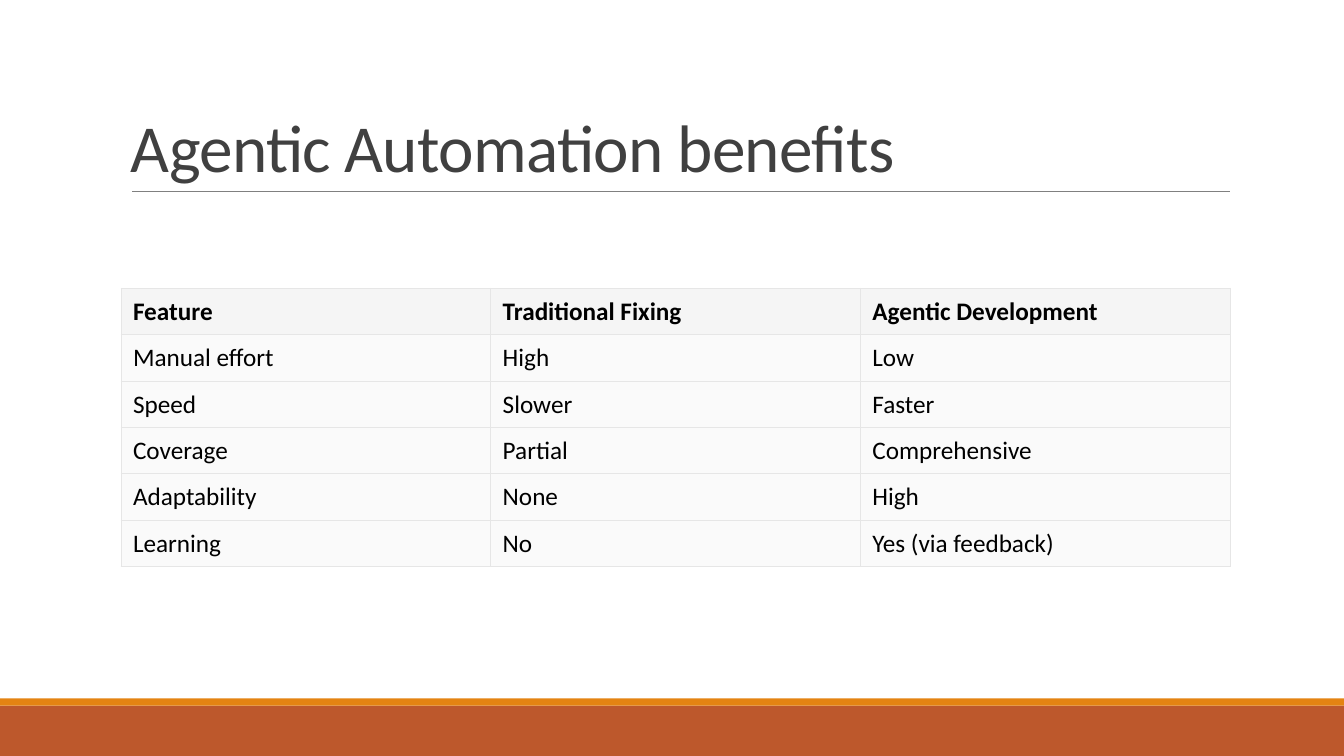
from lxml.etree import SubElement as Sub
from pptx import Presentation
from pptx.dml.color import RGBColor
from pptx.enum.shapes import MSO_CONNECTOR as Conn, MSO_SHAPE as Shape
from pptx.enum.text import MSO_ANCHOR as Anchor
from pptx.oxml.ns import qn
from pptx.util import Inches, Pt

RUST = RGBColor(0xBD, 0x58, 0x2C)
AMBER = RGBColor(0xE4, 0x83, 0x12)
GRAY = RGBColor(0x80, 0x80, 0x80)
DARK = RGBColor(0x40, 0x40, 0x40)
BLACK = RGBColor(0, 0, 0)
HEAD = RGBColor(0xF5, 0xF5, 0xF5)
BODY = RGBColor(0xFA, 0xFA, 0xFA)
EDGE = RGBColor(0xE6, 0xE6, 0xE6)

WIDTH, HEIGHT = 13.33, 7.5
ROWS = [
    ("Feature", "Traditional Fixing", "Agentic Development"),
    ("Manual effort", "High", "Low"),
    ("Speed", "Slower", "Faster"),
    ("Coverage", "Partial", "Comprehensive"),
    ("Adaptability", "None", "High"),
    ("Learning", "No", "Yes (via feedback)"),
]


def style(item, form):
    for name, value in form.items():
        setattr(item, name, value)


def write(para, text, size, color, bold=False):
    run = para.add_run()
    run.text = text
    style(run.font, {"name": "Calibri", "size": Pt(size), "bold": bold})
    run.font.color.rgb = color
    return run


def footer(slide, left, top, width, height):
    # Thin amber strip above a rust band
    strip = 0.07
    bands = [(top + strip, height - strip, RUST), (top, strip, AMBER)]
    for y, tall, color in bands:
        band = slide.shapes.add_shape(
            Shape.RECTANGLE, Inches(left), Inches(y), Inches(width), Inches(tall))
        band.shadow.inherit = False
        band.fill.solid()
        band.fill.fore_color.rgb = color
        band.line.fill.background()


def title(slide, text, left, top, width, height):
    # Rule under the heading
    base = Inches(top + height)
    rule = slide.shapes.add_connector(
        Conn.STRAIGHT, Inches(left + 0.11), base, Inches(left + width), base)
    rule.line.color.rgb = GRAY
    rule.line.width = Pt(0.5)
    Sub(rule._element.spPr, qn("a:effectLst"))

    # Heading text
    box = slide.shapes.add_textbox(
        Inches(left), Inches(top), Inches(width), Inches(height))
    frame = box.text_frame
    style(frame, {"word_wrap": True, "vertical_anchor": Anchor.BOTTOM})
    para = frame.paragraphs[0]
    para.line_spacing = 0.85
    run = write(para, text, 48, DARK)
    run.font._element.set("spc", "-50")


def border(cell):
    props = cell._tc.get_or_add_tcPr()
    for side in ("lnL", "lnR", "lnT", "lnB"):
        line = Sub(props, qn("a:" + side), w=str(Pt(0.75)))
        fill = Sub(line, qn("a:solidFill"))
        Sub(fill, qn("a:srgbClr"), val=str(EDGE))


def table(slide, rows, left, top, width, height):
    grid = slide.shapes.add_table(
        len(rows), len(rows[0]), Inches(left), Inches(top),
        Inches(width), Inches(height)).table
    for i, row in enumerate(rows):
        for j, text in enumerate(row):
            cell = grid.cell(i, j)
            style(cell, {
                "margin_left": Inches(0.12), "margin_top": Inches(0.08),
                "margin_right": Inches(0.08), "margin_bottom": Inches(0.07)})
            border(cell)
            cell.fill.solid()
            cell.fill.fore_color.rgb = HEAD if i == 0 else BODY
            write(cell.text_frame.paragraphs[0], text, 18, BLACK, i == 0)


def main():
    deck = Presentation()
    style(deck, {"slide_width": Inches(WIDTH), "slide_height": Inches(HEIGHT)})
    slide = deck.slides.add_slide(deck.slide_layouts[6])
    footer(slide, 0, 6.93, WIDTH, 0.57)
    title(slide, "Agentic Automation benefits", 1.2, 0.31, 11, 1.59)
    table(slide, ROWS, 1.2, 2.86, 11, 2.76)
    deck.save("out.pptx")


if __name__ == "__main__":
    main()
